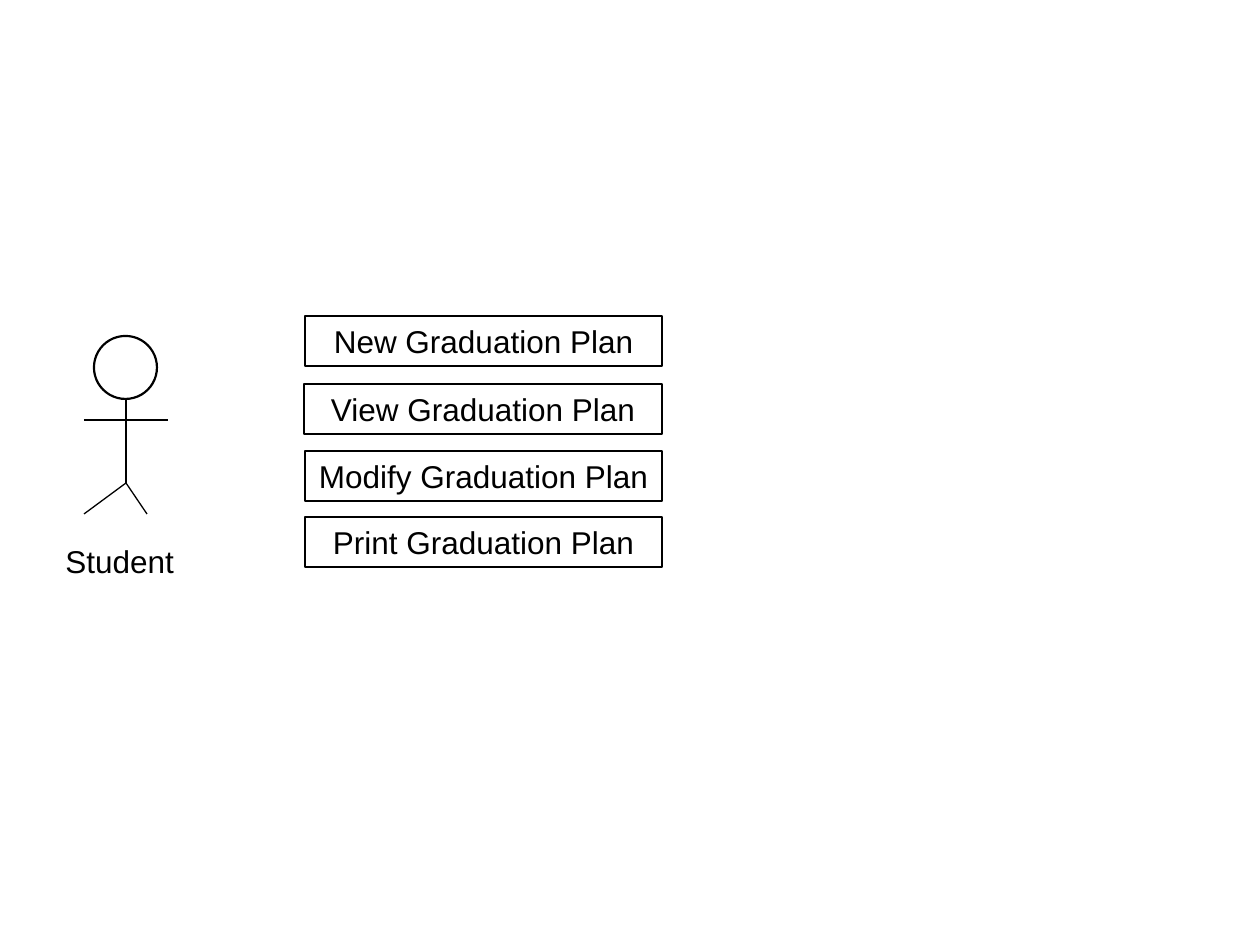
from lxml.etree import SubElement
from pptx import Presentation
from pptx.dml.color import RGBColor
from pptx.enum.shapes import MSO_CONNECTOR, MSO_SHAPE as Shape
from pptx.enum.text import MSO_ANCHOR as Anchor, MSO_AUTO_SIZE as AutoSize, PP_ALIGN as Align
from pptx.oxml.ns import qn
from pptx.util import Emu, Pt

PX = 914400 / 126
COLORS = {"ink": "000000", "paper": "FFFFFF"}
FONT = {"name": "Arial", "size": Pt(18)}
LABEL_FRAME = {"word_wrap": False, "auto_size": AutoSize.SHAPE_TO_FIT_TEXT}
OPTION_FRAME = {"word_wrap": True, "auto_size": AutoSize.SHAPE_TO_FIT_TEXT,
                "vertical_anchor": Anchor.MIDDLE}

# Start and end of each limb
LIMBS = {
    "body": (126, 399, 126, 483),
    "left leg": (126, 483, 84, 514),
    "right leg": (126, 483, 147, 514),
    "arms": (84, 420, 168, 420),
}
# Left, top and width of each menu option
OPTIONS = {
    "View Graduation Plan": (304, 384, 358),
    "New Graduation Plan": (305, 316, 357),
    "Modify Graduation Plan": (305, 451, 357),
    "Print Graduation Plan": (305, 517, 357),
}
OPTION_HEIGHT = 50


def px(*lengths):
    return [Emu(round(length * PX)) for length in lengths]


def color(name):
    return RGBColor.from_string(COLORS[name])


def apply(target, values):
    for key, value in values.items():
        setattr(target, key, value)


def write(frame, words, layout, align):
    apply(frame, layout)
    line = frame.paragraphs[0]
    line.alignment = align
    run = line.add_run()
    run.text = words
    apply(run.font, FONT)
    run.font.color.rgb = color("ink")


def add_outline(slide, kind, *box):
    outline = slide.shapes.add_shape(kind, *px(*box))
    outline.shadow.inherit = False
    outline.fill.background()
    outline.line.color.rgb = color("ink")
    outline.line.width = Pt(1.25)
    return outline


def add_limb(slide, *ends):
    limb = slide.shapes.add_connector(MSO_CONNECTOR.STRAIGHT, *px(*ends))
    limb.line.color.rgb = color("ink")
    limb.line.width = Pt(0.75)
    SubElement(limb.element.spPr, qn("a:effectLst"))


def add_actor(slide):
    add_outline(slide, Shape.OVAL, 94, 336, 63, 63)
    for ends in LIMBS.values():
        add_limb(slide, *ends)
    label = slide.shapes.add_textbox(*px(53, 536, 134, 50))
    write(label.text_frame, "Student", LABEL_FRAME, Align.LEFT)


def add_option(slide, words, left, top, width):
    option = add_outline(slide, Shape.RECTANGLE, left, top, width, OPTION_HEIGHT)
    write(option.text_frame, words, OPTION_FRAME, Align.CENTER)


def main():
    deck = Presentation()
    deck.slide_width, deck.slide_height = px(1260, 945)
    slide = deck.slides.add_slide(deck.slide_layouts[6])
    slide.background.fill.solid()
    slide.background.fill.fore_color.rgb = color("paper")

    # Stick figure with its name
    add_actor(slide)

    # Menu of plan actions
    for words, place in OPTIONS.items():
        add_option(slide, words, *place)

    deck.save("out.pptx")


if __name__ == "__main__":
    main()
